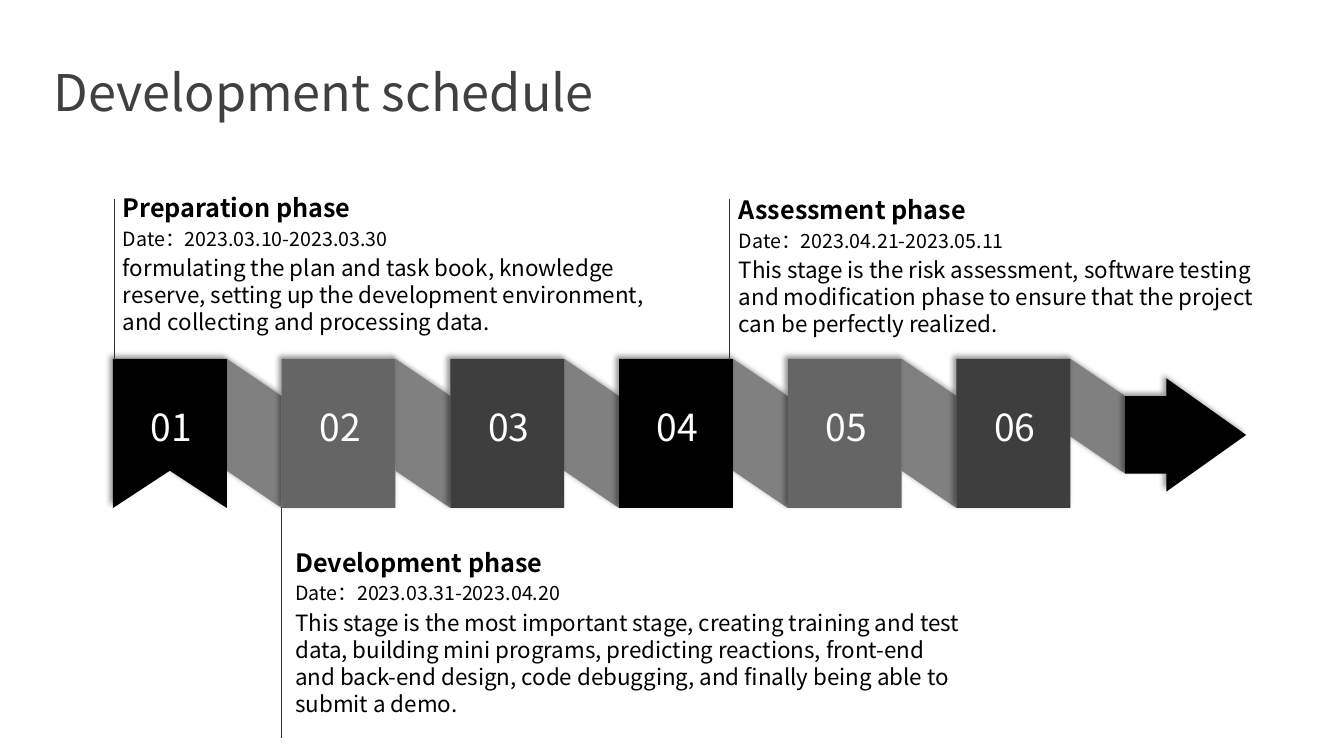
from lxml import etree
from pptx import Presentation
from pptx import util as u
from pptx.dml.color import RGBColor
from pptx.enum import shapes, text
from pptx.oxml.ns import qn

FONT = "Noto Sans CJK SC"
BLACK, MID_GREY, DARK_GREY, FOLD_GREY = "000000", "656565", "3E3E3E", "808080"
STEP_COLOURS = [BLACK, MID_GREY, DARK_GREY]
STEPS = 6
PHASES = [  # box, vertical rule (x, top, bottom), heading, date, description
    ((2.83, 5.38, 6.83, 1.37), (2.79, 5.03, 7.32),
     "Development phase", "Date：2023.03.31-2023.04.20",
     "This stage is the most important stage, creating training and test data, "
     "building mini programs, predicting reactions, front-end and back-end design, "
     "code debugging, and finally being able to submit a demo."),
    ((1.12, 1.86, 5.7, 1.37), (1.13, 1.97, 3.57),
     "Preparation phase", "Date：2023.03.10-2023.03.30",
     "formulating the plan and task book, knowledge reserve, setting up the "
     "development environment, and collecting and processing data."),
    ((7.23, 1.88, 5.58, 1.37), (7.23, 1.97, 3.57),
     "Assessment phase", "Date：2023.04.21-2023.05.11",
     "This stage is the risk assessment, software testing and modification phase "
     "to ensure that the project can be perfectly realized."),
]


def colour(hex_value):
    return RGBColor.from_string(hex_value)


def format_text(paragraph, size, hex_value, bold=False):
    for run in paragraph.runs:
        run.font.size = u.Pt(size)
        run.font.bold = bold
        run.font.name = FONT
        run.font.color.rgb = colour(hex_value)
        east_asian = etree.SubElement(run.font._element, qn("a:ea"))
        east_asian.set("typeface", FONT)


def paint(part, hex_value):
    """Fill a ribbon part and let it cast a soft shadow up and to the left."""
    part.fill.solid()
    part.fill.fore_color.rgb = colour(hex_value)
    part.line.fill.background()
    part.shadow.inherit = False
    effects = part._element.spPr.find(qn("a:effectLst"))
    shadow = etree.SubElement(effects, qn("a:outerShdw"), blurRad=str(u.Pt(4)),
                              dist=str(u.Pt(3)), dir="13500000", algn="br",
                              rotWithShape="0")
    shade = etree.SubElement(shadow, qn("a:srgbClr"), val=BLACK)
    etree.SubElement(shade, qn("a:alpha"), val="40000")


def add_outline(slide, box, points, hex_value):
    """Draw a closed outline whose points are shares of the box."""
    left, top, width, height = box
    corners = [(u.Inches(left + x * width), u.Inches(top + y * height))
               for x, y in points]
    builder = slide.shapes.build_freeform(*corners[0], scale=1.0)
    builder.add_line_segments(corners[1:], close=True)
    part = builder.convert_to_shape()
    paint(part, hex_value)
    return part


def add_title(slide, box, wording):
    title = slide.shapes.title
    title.left, title.top, title.width, title.height = map(u.Inches, box)
    frame = title.text_frame
    frame.text = wording
    frame.auto_size = text.MSO_AUTO_SIZE.NONE
    frame.vertical_anchor = text.MSO_ANCHOR.MIDDLE
    frame.margin_left = u.Inches(0.32)
    heading = frame.paragraphs[0]
    heading.alignment = text.PP_ALIGN.LEFT
    heading.line_spacing = 1.2
    format_text(heading, 36, "404040")


def add_number(block, number):
    frame = block.text_frame
    frame.text = f"{number:02d}"
    frame.vertical_anchor = text.MSO_ANCHOR.MIDDLE
    frame.margin_left, frame.margin_right = u.Inches(0.08), u.Inches(0.05)
    frame.margin_top, frame.margin_bottom = u.Inches(0.05), u.Inches(0.18)
    label = frame.paragraphs[0]
    label.alignment = text.PP_ALIGN.CENTER
    label.space_before = u.Pt(5.3)
    format_text(label, 26.6, "FFFFFF")


def add_ribbon(slide, box):
    left, top, width, height = box
    arrow_width = 1.2
    step = (width - arrow_width) / STEPS
    block_width = 0.675 * step
    starts = [left + i * step for i in range(STEPS)]

    # Folds, from right to left; the last one narrows to the arrow's shaft
    for i in reversed(range(STEPS)):
        last = i == STEPS - 1
        near, far = (0.52, 0.77) if last else (0.75, 1)
        add_outline(slide, (starts[i] + block_width, top, step - block_width, height),
                    [(0, 0), (1, 0.25), (1, far), (0, near)], FOLD_GREY)

    # Arrow
    add_outline(slide, (left + STEPS * step, top, arrow_width, height),
                [(0, 0.25), (0.34, 0.25), (0.34, 0.13), (1, 0.51),
                 (0.34, 0.89), (0.34, 0.77), (0, 0.77)], BLACK)

    # Numbered blocks; the first has a notched tail
    for i, start in enumerate(starts):
        block_box = (start, top, block_width, height)
        hex_value = STEP_COLOURS[i % len(STEP_COLOURS)]
        if i == 0:
            block = add_outline(slide, block_box,
                                [(0, 0), (1, 0), (1, 1), (0.5, 0.75), (0, 1)], hex_value)
        else:
            block = slide.shapes.add_shape(shapes.MSO_SHAPE.RECTANGLE,
                                           *map(u.Inches, block_box))
            paint(block, hex_value)
        add_number(block, i + 1)


def add_phase(slide, box, rule_span, heading, date, description):
    frame = slide.shapes.add_textbox(*map(u.Inches, box)).text_frame
    frame.word_wrap = True
    frame.text = "\n".join([heading, date, description])
    for paragraph, size in zip(frame.paragraphs, (18, 14, 16)):
        paragraph.space_before = u.Pt(0.2 * size)
        format_text(paragraph, size, BLACK, bold=size == 18)

    # Rule that ties the phase to its block
    x, top, bottom = map(u.Inches, rule_span)
    rule = slide.shapes.add_connector(shapes.MSO_CONNECTOR.STRAIGHT, x, top, x, bottom)
    rule.line.color.rgb = colour("323232")
    rule.line.width = u.Pt(0.5)
    etree.SubElement(rule._element.spPr, qn("a:effectLst"))


def main():
    deck = Presentation()
    deck.slide_width, deck.slide_height = u.Inches(13.33), u.Inches(7.5)
    slide = deck.slides.add_slide(deck.slide_layouts[5])
    add_title(slide, (0.21, 0.46, 7.2, 0.77), "Development schedule")
    add_ribbon(slide, (1.12, 3.56, 11.24, 1.48))
    for phase in PHASES:
        add_phase(slide, *phase)
    deck.save("out.pptx")


if __name__ == "__main__":
    main()
